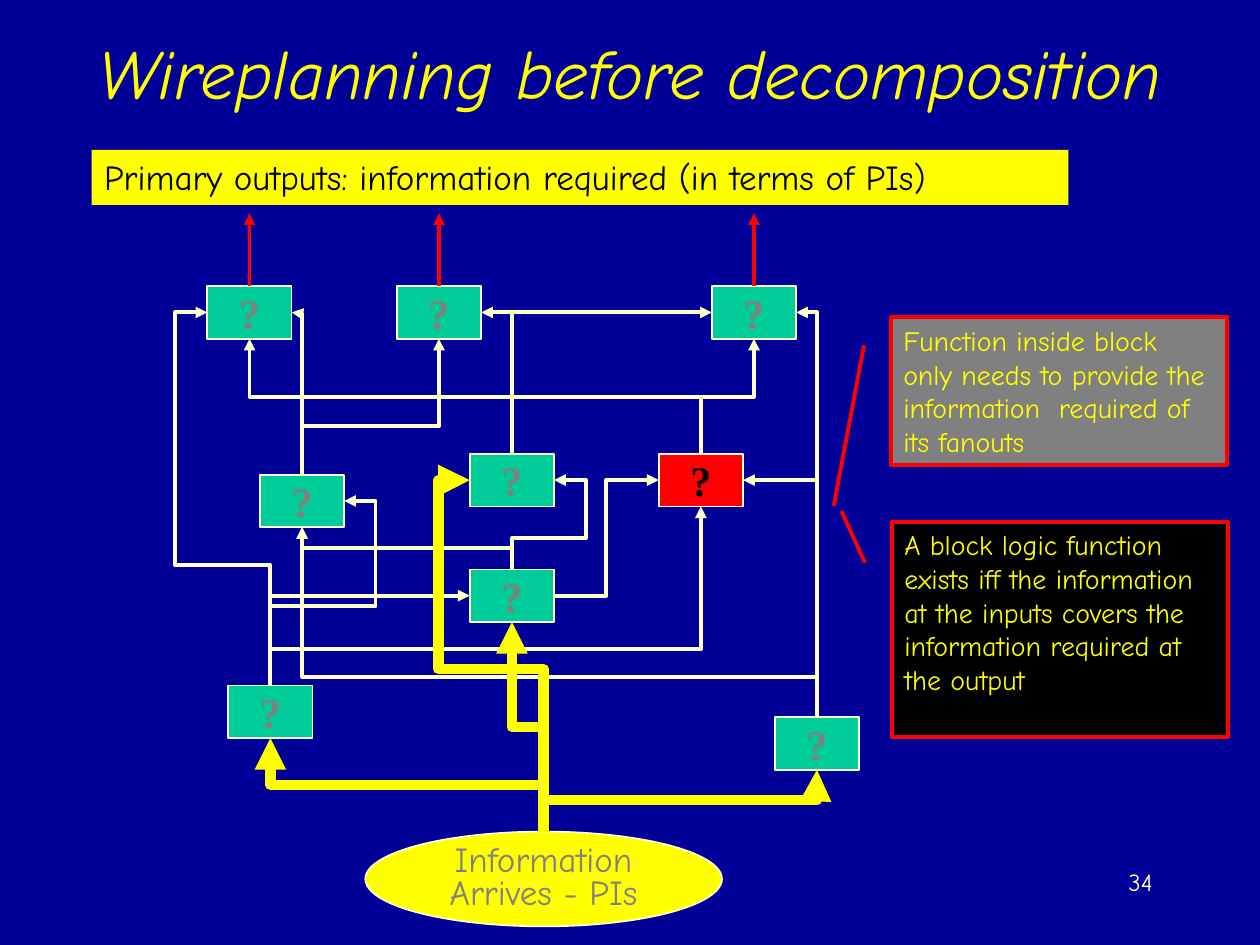
from lxml.etree import SubElement
from pptx import Presentation
from pptx.dml.color import RGBColor
from pptx.enum.shapes import MSO_CONNECTOR, MSO_SHAPE
from pptx.enum.text import MSO_ANCHOR, MSO_AUTO_SIZE, PP_ALIGN
from pptx.oxml.ns import qn
from pptx.util import Cm, Pt

NAVY = RGBColor(0x00, 0x00, 0x99)
YELLOW = RGBColor(0xFF, 0xFF, 0x00)
CREAM = RGBColor(0xFF, 0xFF, 0xCC)
GREEN = RGBColor(0x00, 0xCC, 0x99)
RED = RGBColor(0xFF, 0x00, 0x00)
GRAY = RGBColor(0x80, 0x80, 0x80)
BLACK = RGBColor(0x00, 0x00, 0x00)

SANS = "Comic Neue"
SERIF = "Times New Roman"

BLOCK_W, BLOCK_H = 1.7, 1.06
SOURCE_W, SOURCE_H = 7.19, 1.91
BLOCKS = {
    "out_left": (1.5, 0.53),
    "out_mid": (5.32, 0.53),
    "out_right": (11.67, 0.53),
    "left": (2.56, 4.33),
    "upper": (6.79, 3.91),
    "chosen": (10.6, 3.91),
    "lower": (6.79, 6.24),
    "in_left": (1.92, 8.58),
    "in_right": (12.94, 9.22),
}
SOURCE = (7.43, 11.95)
WIRES = [
    ("in_left", "left", "right", 6.45, 4.04),
    ("left", "out_mid", "bottom", 2.82),
    ("upper", "out_right", "left"),
    ("upper", "out_mid", "right"),
    ("in_right", "out_right", "right"),
    ("lower", "left", "bottom", 5.28),
    ("in_left", "chosen", "bottom", 7.31),
    ("chosen", "out_left", "bottom", 2.23),
    ("lower", "upper", "right", 5.08, 8.28),
    ("in_right", "chosen", "right"),
    ("in_left", "out_left", "left", 5.63, 0),
    ("left", "out_left", "right"),
    ("chosen", "out_right", "bottom", 2.23),
    ("in_right", "left", "bottom", 7.87),
    ("in_left", "lower", "left"),
]
FEEDS = [
    ("in_left", "bottom", 10.05),
    ("lower", "bottom", 8.89),
    ("in_right", "bottom", 10.36),
    ("upper", "left", 7.72, 5.31),
]


def style_text(tf, text, size, color, font=SANS, align=PP_ALIGN.LEFT,
               anchor=MSO_ANCHOR.TOP, wrap=True, bold=False, italic=False):
    """Fill a text frame and format every paragraph alike."""
    tf.text = text
    tf.word_wrap = wrap
    tf.auto_size = MSO_AUTO_SIZE.NONE
    tf.vertical_anchor = anchor
    for p in tf.paragraphs:
        p.alignment = align
        for r in p.runs:
            r.font.size, r.font.name = Pt(size), font
            r.font.bold, r.font.italic = bold, italic
            r.font.color.rgb = color


def add_box(s, kind, x, y, w, h, fill, line=None, width=1):
    """Add a flat preset shape, measured in centimetres."""
    sp = s.shapes.add_shape(kind, Cm(x), Cm(y), Cm(w), Cm(h))
    sp.shadow.inherit = False
    sp.fill.solid()
    sp.fill.fore_color.rgb = fill
    if line is None:
        sp.line.fill.background()
    else:
        sp.line.color.rgb = line
        sp.line.width = Pt(width)
    return sp


def add_arrow(s, kind, x1, y1, x2, y2, color, width):
    """Add a connector with a triangle at its end."""
    cn = s.shapes.add_connector(kind, Cm(x1), Cm(y1), Cm(x2), Cm(y2))
    cn.line.color.rgb = color
    cn.line.width = Pt(width)
    SubElement(cn.line._get_or_add_ln(), qn("a:tailEnd"), type="triangle")
    SubElement(cn._element.spPr, qn("a:effectLst"))
    return cn


def add_rising_wire(s, start, end, lanes, color, width):
    """Add an elbow that leaves upwards and turns at lane y, then at lane x."""
    (x1, y1), (x2, y2) = start, end
    mid_x, mid_y = (x1 + x2) / 2, (y1 + y2) / 2
    half_w, half_h = (y1 - y2) / 2, abs(x2 - x1) / 2
    side = 1 if x2 > x1 else -1
    cn = add_arrow(s, MSO_CONNECTOR.ELBOW,
                   mid_x + side * half_w, mid_y + half_h,
                   mid_x - side * half_w, mid_y - half_h, color, width)
    sp_pr = cn._element.spPr
    sp_pr.find(qn("a:xfrm")).set("rot", str((180 - 90 * side) * 60000))
    geom = sp_pr.find(qn("a:prstGeom"))
    geom.set("prst", f"bentConnector{2 + len(lanes)}")
    av = geom.find(qn("a:avLst"))
    if av is None:
        av = SubElement(geom, qn("a:avLst"))
    for i, (lane, a, b) in enumerate(zip(lanes, (y1, x1), (y2, x2)), 1):
        ratio = round((lane - a) / (b - a) * 100000)
        SubElement(av, qn("a:gd"), name=f"adj{i}", fmla=f"val {ratio}")


def port(name, side, x, y):
    """Return the middle of one side of a block."""
    dx, dy = {"left": (-1, 0), "right": (1, 0),
              "top": (0, -1), "bottom": (0, 1)}[side]
    bx, by = BLOCKS[name]
    return x + bx + dx * BLOCK_W / 2, y + by + dy * BLOCK_H / 2


def shift_lanes(lanes, x, y):
    """Move lane positions from the network box to the slide."""
    return [lane + base for lane, base in zip(lanes, (y, x))]


def add_block(s, name, x, y, fill, color):
    """Add one logic block of the network."""
    left, top = port(name, "left", x, y)[0], port(name, "top", x, y)[1]
    sp = add_box(s, MSO_SHAPE.RECTANGLE, left, top, BLOCK_W, BLOCK_H, fill, CREAM)
    style_text(sp.text_frame, "?", 24, color, SERIF, PP_ALIGN.CENTER,
               MSO_ANCHOR.MIDDLE, wrap=False, bold=True)


def add_network(s, x, y):
    """Draw the blocks, their wires and the information source."""
    for name in BLOCKS:
        if name != "chosen":
            add_block(s, name, x, y, GREEN, GRAY)
        if name.startswith("out"):
            px, py = port(name, "top", x, y)
            add_arrow(s, MSO_CONNECTOR.STRAIGHT, px, py, px, py - 1.47, RED, 2.25)
    add_arrow(s, MSO_CONNECTOR.ELBOW, *port("lower", "right", x, y),
              *port("chosen", "left", x, y), CREAM, 2.25)
    for start, end, side, *lanes in WIRES:
        add_rising_wire(s, port(start, "top", x, y), port(end, side, x, y),
                        shift_lanes(lanes, x, y), CREAM, 2.25)
    cx, cy = x + SOURCE[0], y + SOURCE[1]
    sp = add_box(s, MSO_SHAPE.OVAL, cx - SOURCE_W / 2, cy - SOURCE_H / 2,
                 SOURCE_W, SOURCE_H, YELLOW, CREAM)
    style_text(sp.text_frame, "Information\nArrives - PIs", 20, GRAY,
               align=PP_ALIGN.CENTER, anchor=MSO_ANCHOR.MIDDLE, wrap=False)
    for p in sp.text_frame.paragraphs:
        p.line_spacing = 0.8
    for end, side, *lanes in FEEDS:
        add_rising_wire(s, (cx, cy - SOURCE_H / 2), port(end, side, x, y),
                        shift_lanes(lanes, x, y), YELLOW, 6)
    add_block(s, "chosen", x, y, RED, BLACK)


def add_callout(s, x, y, w, h, text, fill, tip):
    """Add a red-bordered note whose leader ends at the given tip ratios."""
    sp = add_box(s, MSO_SHAPE.LINE_CALLOUT_1, x, y, w, h, fill, RED, 2.25)
    for i, value in enumerate((0.19, -0.08, *tip)):
        sp.adjustments[i] = value
    style_text(sp.text_frame, text, 16, YELLOW)


def add_headings(s, x, y, w):
    """Place the title, the outputs banner and the page number."""
    title = s.shapes.title
    title.left, title.top, title.width, title.height = Cm(x), Cm(y), Cm(w), Cm(3.18)
    style_text(title.text_frame, "Wireplanning before decomposition", 40, YELLOW,
               align=PP_ALIGN.CENTER, anchor=MSO_ANCHOR.MIDDLE, italic=True)
    sp = add_box(s, MSO_SHAPE.RECTANGLE, x + 1.85, y + 3.17, 19.69, 1.11, YELLOW)
    style_text(sp.text_frame,
               "Primary outputs: information required (in terms of PIs)", 20, BLACK)
    tb = s.shapes.add_textbox(Cm(x + 18.21), Cm(y + 17.5), Cm(5.28), Cm(1.27))
    style_text(tb.text_frame, "34", 14, CREAM, align=PP_ALIGN.RIGHT)


def main():
    """Build the slide and save it."""
    prs = Presentation()
    prs.slide_width, prs.slide_height = Cm(25.4), Cm(19.05)
    s = prs.slides.add_slide(prs.slide_layouts[5])
    s.background.fill.solid()
    s.background.fill.fore_color.rgb = NAVY
    add_headings(s, 0, -0.15, 25.4)
    add_network(s, 3.53, 5.77)
    add_callout(s, 17.98, 10.52, 6.78, 4.34,
                "A block logic function exists iff the information at the inputs "
                "covers the information required at the output", BLACK, (-0.05, -0.15))
    add_callout(s, 17.96, 6.4, 6.78, 2.97,
                "Function inside block only needs to provide the information  "
                "required of its fanouts", GRAY, (1.28, -0.17))
    prs.save("out.pptx")


if __name__ == "__main__":
    main()
